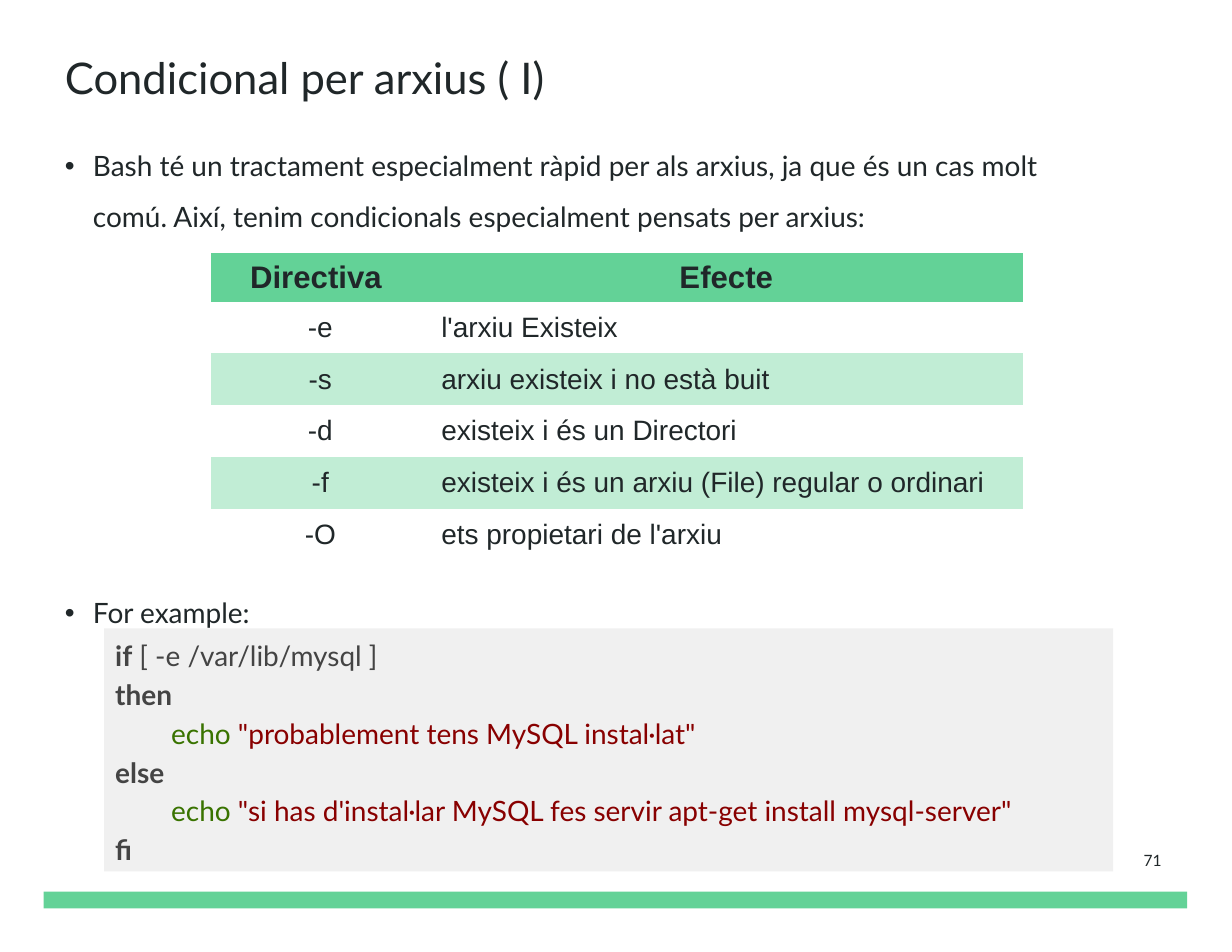
from dataclasses import dataclass

import pptx
import pptx.dml.color
import pptx.enum.shapes
import pptx.enum.text
import pptx.oxml.ns
import pptx.oxml.xmlchemy
import pptx.util
from lxml import etree

RGB = pptx.dml.color.RGBColor
PT = pptx.util.Pt
ALIGN = pptx.enum.text.PP_ALIGN
ANCHOR = pptx.enum.text.MSO_ANCHOR
QN = pptx.oxml.ns.qn

INK = RGB(0x20, 0x27, 0x29)
GREEN = RGB(0x63, 0xD2, 0x97)
PALE = RGB(0xC1, 0xED, 0xD5)
GREY = RGB(0xF0, 0xF0, 0xF0)
CODE = RGB(0x44, 0x44, 0x44)
CALL = RGB(0x39, 0x73, 0x00)
QUOTE = RGB(0x88, 0x00, 0x00)

# The slide is a grid of 44 columns by 34 rows, a quarter inch each.
COLS, ROWS = 44, 34
UNIT = pptx.util.Inches(0.25)
PLAIN = "{2D5ABB26-0587-4C30-8999-92F81FD0307C}"  # table style without lines


@dataclass(frozen=True)
class Box:
    col: float
    row: float
    wide: float
    high: float

    def emu(self) -> list[int]:
        return [grid(n) for n in (self.col, self.row, self.wide, self.high)]


@dataclass(frozen=True)
class Run:
    text: str
    size: float = 18
    color: RGB = INK
    bold: bool = False
    font: str = "Lato"


@dataclass(frozen=True)
class Point:
    box: Box
    text: str


POINTS = [
    Point(Box(2.32, 4.72, 37.4, 4),
          "Bash té un tractament especialment ràpid per als arxius, ja que és "
          "un cas molt comú. Així, tenim condicionals especialment pensats per "
          "arxius:"),
    Point(Box(2.32, 20.68, 37.4, 1.8), "For example:"),
]

HEAD = ("Directiva ", "Efecte")
TESTS = [
    ("-e", "l'arxiu Existeix"),
    ("-s", "arxiu existeix i no està buit"),
    ("-d", "existeix i és un Directori"),
    ("-f", "existeix i és un arxiu (File) regular o ordinari"),
    ("-O", "ets propietari de l'arxiu"),
]


def word(text: str) -> Run:
    return Run(text, color=CODE, bold=True)


def echo(text: str) -> list[Run]:
    return [Run("\t", color=CODE), Run("echo ", color=CALL),
            Run(f'"{text}"', color=QUOTE)]


SCRIPT = [
    [word("if"), Run(" [ -e /var/lib/mysql ]", color=CODE)],
    [word("then")],
    echo("probablement tens MySQL instal·lat"),
    [word("else")],
    echo("si has d'instal·lar MySQL fes servir apt-get install mysql-server"),
    [word("fi")],
]


def grid(n: float) -> int:
    return round(n * UNIT)


def place(shape, box: Box) -> None:
    shape.left, shape.top, shape.width, shape.height = box.emu()


def setup(frame, inset: float, anchor) -> None:
    frame.word_wrap = True
    frame.vertical_anchor = anchor
    frame.margin_left = frame.margin_right = grid(inset)
    frame.margin_top = frame.margin_bottom = grid(inset)


def write(para, runs: list[Run], align=ALIGN.LEFT, space=None) -> None:
    para.alignment = align
    para.line_spacing = space
    for item in runs:
        run = para.add_run()
        run.text = item.text
        font = run.font
        font.name, font.size, font.bold = item.font, PT(item.size), item.bold
        font.color.rgb = item.color


def block(slide, box: Box, fill: RGB):
    shape = slide.shapes.add_shape(
        pptx.enum.shapes.MSO_SHAPE.RECTANGLE, *box.emu())
    shape.shadow.inherit = False
    shape.fill.solid()
    shape.fill.fore_color.rgb = fill
    shape.line.fill.background()
    return shape


def bullet(slide, point: Point) -> None:
    frame = slide.shapes.add_textbox(*point.box.emu()).text_frame
    setup(frame, 0, ANCHOR.TOP)
    para = frame.paragraphs[0]
    props = para._p.get_or_add_pPr()
    props.set("marL", str(UNIT))
    props.set("indent", str(-UNIT))
    etree.SubElement(props, QN("a:buFont"), typeface="Arial")
    etree.SubElement(props, QN("a:buChar"), char="•")
    write(para, [Run(point.text)], space=1.5)


def table(slide, box: Box) -> None:
    shape = slide.shapes.add_table(len(TESTS) + 1, len(HEAD), *box.emu())
    grille = shape.table
    grille.horz_banding = False
    next(shape.element.iter(QN("a:tableStyleId"))).text = PLAIN
    for col, wide in zip(grille.columns, (7.84, 21.16)):
        col.width = grid(wide)
    for r, texts in enumerate([HEAD, *TESTS]):
        top = r == 0
        grille.rows[r].height = grid(1.64 if top else 1.85)
        for c, text in enumerate(texts):
            cell = grille.cell(r, c)
            cell.vertical_anchor = ANCHOR.MIDDLE
            if r % 2 and not top:
                cell.fill.background()
            else:
                cell.fill.solid()
                cell.fill.fore_color.rgb = GREEN if top else PALE
            write(cell.text_frame.paragraphs[0],
                  [Run(text, 20 if top else 18, bold=top, font="Arial")],
                  ALIGN.CENTER if top or c == 0 else ALIGN.LEFT)


def listing(slide, box: Box) -> None:
    frame = block(slide, box, GREY).text_frame
    setup(frame, 0.4, ANCHOR.MIDDLE)
    frame.margin_top = frame.margin_bottom = grid(0.2)
    for n, runs in enumerate(SCRIPT):
        para = frame.add_paragraph() if n else frame.paragraphs[0]
        write(para, runs, space=PT(25))


def main() -> None:
    deck = pptx.Presentation()
    deck.slide_width, deck.slide_height = grid(COLS), grid(ROWS)
    slide = deck.slides.add_slide(deck.slide_layouts[5])

    block(slide, Box(1.56, 31.84, 40.84, 0.6), GREEN)
    title = slide.shapes.title
    place(title, Box(2.32, 1.12, 40, 3.52))
    setup(title.text_frame, 0, ANCHOR.MIDDLE)
    write(title.text_frame.paragraphs[0],
          [Run("Condicional per arxius ( I)", 28)], space=0.9)

    for point in POINTS:
        bullet(slide, point)
    number = slide.shapes.add_textbox(*Box(39.44, 29.56, 2.44, 2.36).emu())
    setup(number.text_frame, 0.4, ANCHOR.MIDDLE)
    write(number.text_frame.paragraphs[0], [Run("71", 10)], ALIGN.RIGHT)
    table(slide, Box(7.52, 9.04, 29, 10.9))
    listing(slide, Box(3.72, 22.44, 36.04, 8.68))
    deck.save("out.pptx")


if __name__ == "__main__":
    main()
